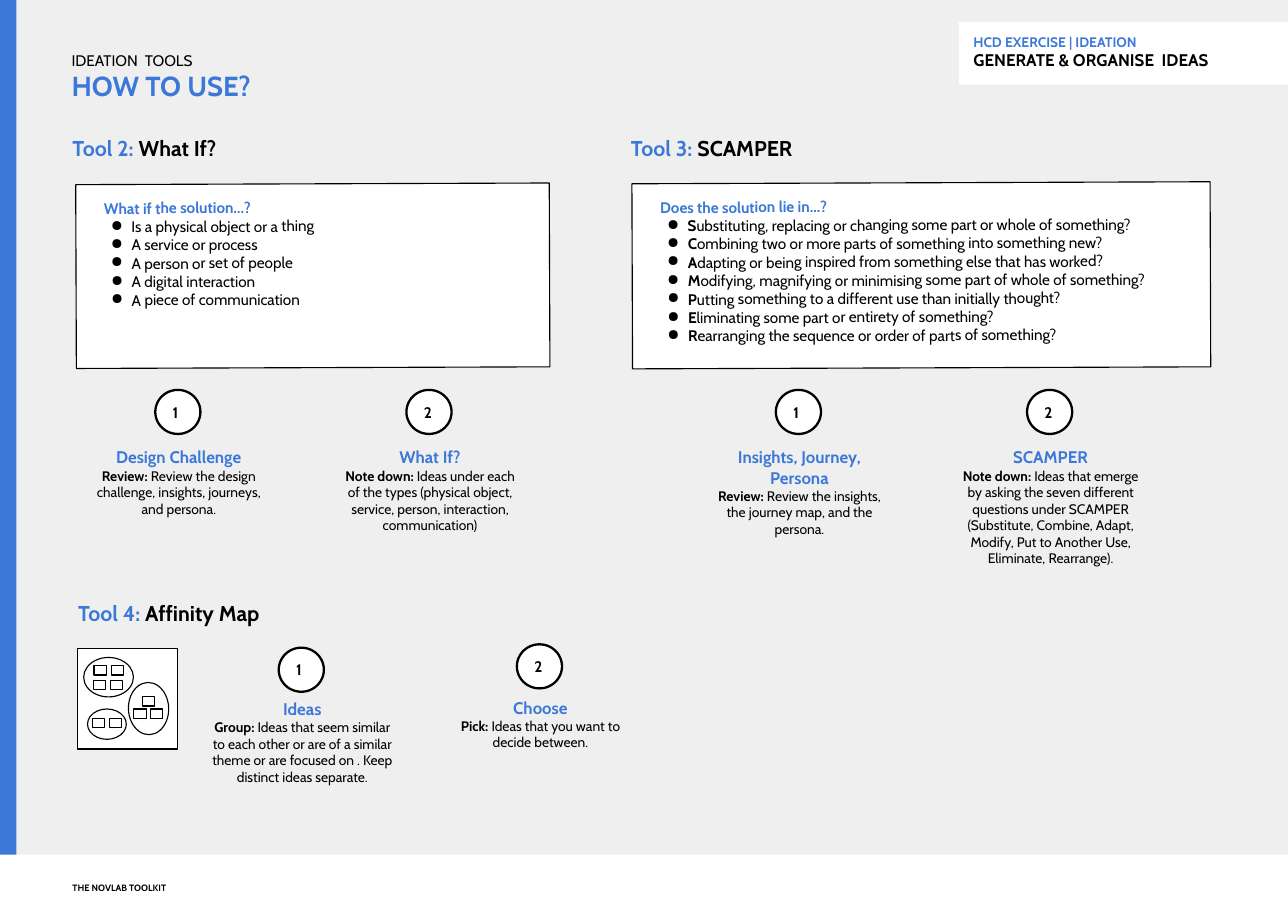
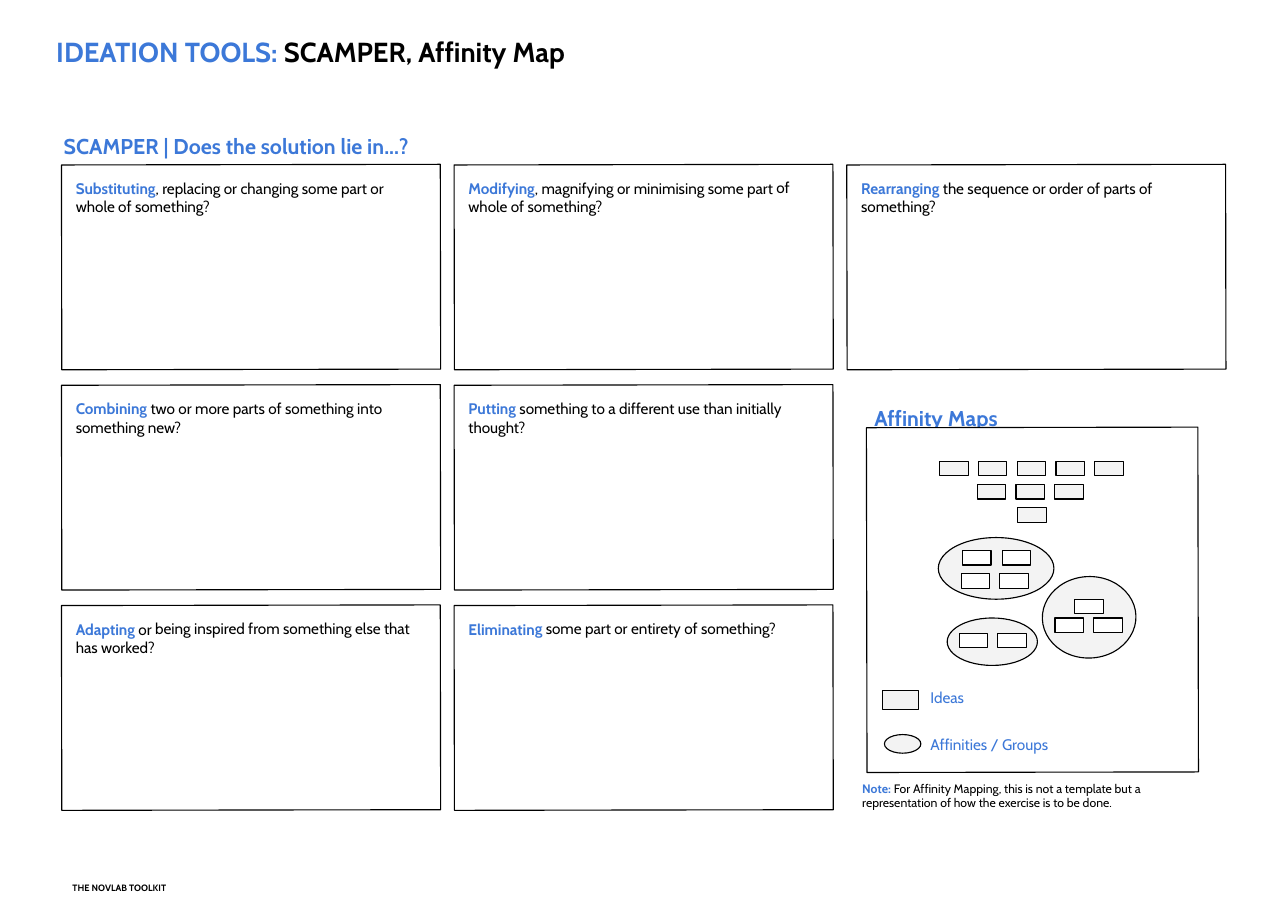
from lxml.etree import Element
from pptx import Presentation
from pptx.dml.color import RGBColor
from pptx.enum.shapes import MSO_SHAPE as Kind
from pptx.enum.text import MSO_ANCHOR as Anchor, PP_ALIGN as Align
from pptx.oxml.ns import qn
from pptx.util import Pt

FONT = "Cabin"
BLUE, BLACK, WHITE = "3C78D8", "000000", "FFFFFF"
GREY, PALE = "EFEFEF", "F3F3F3"
WIDE, HIGH = 842, 595.5
PAD = 9.36
tint = RGBColor.from_string


def box(slide, at, fill=None, line=None, kind=Kind.RECTANGLE, turn=0):
    spot = [Pt(v) for v in at]
    if kind is None:
        return slide.shapes.add_textbox(*spot)
    shape = slide.shapes.add_shape(kind, *spot)
    shape.shadow.inherit = False
    shape.rotation = turn
    if fill:
        shape.fill.solid()
        shape.fill.fore_color.rgb = tint(fill)
    else:
        shape.fill.background()
    if line:
        shape.line.color.rgb = tint(BLACK)
        shape.line.width = Pt(line)
    else:
        shape.line.fill.background()
    return shape


def write(shape, lines, inset=7.2, anchor=Anchor.TOP, align=Align.LEFT):
    frame = shape.text_frame
    frame.word_wrap = True
    frame.vertical_anchor = anchor
    frame.margin_left = frame.margin_right = Pt(inset)
    frame.margin_top = frame.margin_bottom = Pt(inset)
    for i, (size, *runs) in enumerate(lines):
        para = frame.add_paragraph() if i else frame.paragraphs[0]
        para.alignment = align
        para.font.name, para.font.size = FONT, Pt(size)
        for text, color, bold in runs:
            run = para.add_run()
            run.text = text
            font = para.font if len(runs) == 1 else run.font
            font.color.rgb, font.bold = tint(color), bold
    return frame.paragraphs


deck = Presentation()
deck.slide_width, deck.slide_height = Pt(WIDE), Pt(HIGH)
guide, sheet = [deck.slides.add_slide(deck.slide_layouts[6]) for _ in range(2)]

back = guide.background.fill
back.solid()
back.fore_color.rgb = tint(GREY)
box(guide, (0, 0, 10.8, HIGH), BLUE)

titles = [
    (guide, (627, 14.4, 215, 41), WHITE, Kind.RECTANGLE, [
        (9, ("HCD EXERCISE | IDEATION", BLUE, True)),
        (11, ("GENERATE & ORGANISE  IDEAS", BLACK, True))]),
    (guide, (37.4, 20.9, 397.4, 55.4), None, None, [
        (10, ("IDEATION  TOOLS", BLACK, False)),
        (18, ("HOW TO USE?", BLUE, True))]),
    (sheet, (27.4, 23, 669, 31), None, None, [
        (18, ("IDEATION TOOLS:", BLUE, True),
         (" SCAMPER, Affinity Map", BLACK, True))]),
]
for slide, at, fill, kind, lines in titles:
    write(box(slide, at, fill, kind=kind), lines, PAD, Anchor.BOTTOM)

tools = [
    (40.3, 81.4, "Tool 2:", " What If?"),
    (405.4, 81.4, "Tool 3:", " SCAMPER"),
    (43.9, 385.2, "Tool 4:", " Affinity Map"),
]
for x, y, tool, name in tools:
    write(box(guide, (x, y, 226, 29.5), kind=None),
          [(14, (tool, BLUE, True), (name, BLACK, True))])

panels = [
    ((49.7, 120.2, 309.6, 120.2), "What if the solution…?", 0, [
        "Is a physical object or a thing",
        "A service or process",
        "A person or set of people",
        "A digital interaction",
        "A piece of communication"]),
    ((413.3, 119.5, 378, 121), "Does the solution lie in...?", 1, [
        "Substituting, replacing or changing some part or whole of something?",
        "Combining two or more parts of something into something new?",
        "Adapting or being inspired from something else that has worked?",
        "Modifying, magnifying or minimising some part of whole of something?",
        "Putting something to a different use than initially thought?",
        "Eliminating some part or entirety of something?",
        "Rearranging the sequence or order of parts of something?"]),
]
for at, head, cut, items in panels:
    lines = [(10, (head, BLUE, True))]
    for item in items:
        runs = [(item[:cut], BLACK, True), (item[cut:], BLACK, False)]
        lines.append((10, *[run for run in runs if run[0]]))
    paras = write(box(guide, at, WHITE, 0.75, turn=359.8), lines, PAD)
    paras[0]._p.get_or_add_pPr().set("marL", str(Pt(9)))
    for para in paras[1:]:
        props = para._p.get_or_add_pPr()
        props.set("marL", str(Pt(27)))
        props.set("indent", str(Pt(-13.5)))
        hue = Element(qn("a:buClr"))
        hue.append(Element(qn("a:srgbClr"), val=BLACK))
        props.insert(0, hue)
        props.insert(1, Element(qn("a:buChar"), char="●"))

steps = [
    (101.5, 254.9, 30.2, "1", "Design Challenge", "Review: ",
     "Review the design challenge, insights, journeys, and persona."),
    (265.7, 254.9, 30.2, "2", "What If?", "Note down: ",
     "Ideas under each of the types (physical object, service, person, "
     "interaction, communication)"),
    (507.2, 254.9, 30.2, "1", "Insights, Journey, Persona", "Review: ",
     "Review the insights, the journey map, and the persona."),
    (671.4, 254.9, 30.2, "2", "SCAMPER", "Note down: ",
     "Ideas that emerge by asking the seven different questions under SCAMPER "
     "(Substitute, Combine, Adapt, Modify, Put to Another Use, Eliminate, "
     "Rearrange)."),
    (182.2, 423.4, 26, "1", "Ideas", "Group: ",
     "Ideas that seem similar to each other or are of a similar theme or are "
     "focused on . Keep distinct ideas separate."),
    (337.9, 421.2, 27.4, "2", "Choose", "Pick: ",
     "Ideas that you want to decide between."),
]
for x, y, drop, mark, head, verb, text in steps:
    write(box(guide, (x, y, 29.5, 28.8), WHITE, 1.5, Kind.OVAL),
          [(10, (mark, BLACK, True))], anchor=Anchor.MIDDLE)
    write(box(guide, (x - 51.6, y + drop, 134, 66), kind=None),
          [(11, (head, BLUE, True)),
           (9, (verb, BLACK, True), (text, BLACK, False))],
          align=Align.CENTER)

box(guide, (50.4, 424.1, 65.5, 65.5), WHITE, 0.75)

prompts = [
    ("Substituting", ", replacing or changing some part or whole of something?"),
    ("Combining", " two or more parts of something into something new?"),
    ("Adapting", " or being inspired from something else that has worked?"),
    ("Modifying", ", magnifying or minimising some part of whole of something?"),
    ("Putting", " something to a different use than initially thought?"),
    ("Eliminating", " some part or entirety of something?"),
    ("Rearranging", " the sequence or order of parts of something?"),
]
for i, (verb, rest) in enumerate(prompts):
    col, row = divmod(i, 3)
    at = (40.3 + 256.7 * col, 107.6 + 144 * row, 247.7, 133.9)
    write(box(sheet, at, line=0.75, turn=359.9),
          [(10, (verb, BLUE, True), (rest, BLACK, False))], PAD)

heads = [
    ((34.6, 71.3, 355.7, 31), "SCAMPER | Does the solution lie in...?"),
    ((564.5, 249.1, 216.7, 31), "Affinity Maps"),
]
for at, head in heads:
    paras = write(box(sheet, at, kind=None), [(14, (head, BLUE, True))])
    paras[0].line_spacing = 1.5

box(sheet, (566.6, 279.4, 216.7, 225.4), WHITE, 0.75, turn=359.9)

keys = [
    (576.7, 451.4, 443.5, Kind.RECTANGLE, "Ideas"),
    (578.2, 480.2, 473.8, Kind.OVAL, "Affinities / Groups"),
]
for x, y, top, kind, label in keys:
    box(sheet, (x, y, 23.8, 12.2), PALE, 0.75, kind)
    write(box(sheet, (601.2, top, 185, 25.2), kind=None),
          [(10, (label, BLUE, False))], anchor=Anchor.MIDDLE)

write(box(sheet, (556.6, 503.3, 247.7, 40.3), kind=None),
      [(8, ("Note: ", BLUE, True),
        ("For Affinity Mapping, this is not a template but a representation "
         "of how the exercise is to be done.", BLACK, False))])

for row, (x, count) in enumerate([(614.2, 5), (638.8, 3), (665.3, 1)]):
    for i in range(count):
        box(sheet, (x + 25.4 * i, 301.7 + 15.1 * row, 18.7, 9.4), PALE, 0.75)

ovals = [(0, 0, 75.6, 40.3, 0), (5.8, 52.6, 59, 31, 0),
         (68, 25.5, 61.2, 53.3, 87.9)]
notes = [(15.8, 8.6), (41.8, 8.6), (15.1, 23.8), (40.3, 23.8),
         (76.3, 52.6), (101.5, 52.6), (89.3, 40.3),
         (13.7, 62.6), (38.9, 62.6)]
maps = [(guide, 54.7, 429.8, 0.43, 0.64, WHITE),
        (sheet, 613.4, 351.4, 1, 1, PALE)]
for slide, left, top, sx, sy, fill in maps:
    for x, y, w, h, turn in ovals:
        x, y, w, h = left + x * sx, top + y * sy, w * sx, h * sy
        if turn:
            x, y, w, h = x + (w - h) / 2, y + (h - w) / 2, h, w
        box(slide, (x, y, w, h), fill, 0.75, Kind.OVAL, turn)
    for x, y in notes:
        at = (left + x * sx, top + y * sy, 18.7 * sx, 9.4 * sy)
        box(slide, at, WHITE, 0.75)

for slide in (guide, sheet):
    box(slide, (0, 558.7, WIDE, HIGH - 558.7), WHITE)
    write(box(slide, (40.3, 566.6, 332, 20.9), kind=None),
          [(6, ("THE NOVLAB TOOLKIT", BLACK, True))], anchor=Anchor.BOTTOM)

deck.save("out.pptx")
